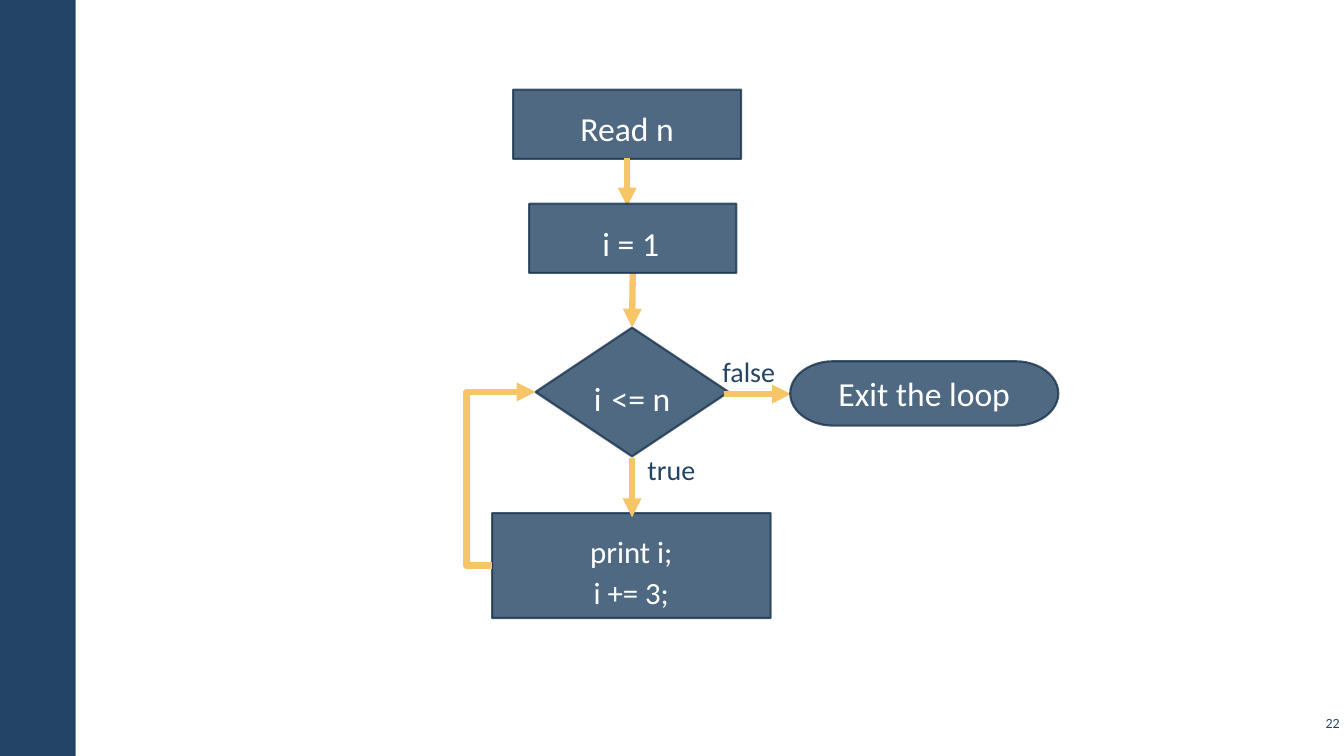
import pptx
import pptx.util
import pptx.dml.color
import pptx.enum.shapes
import pptx.enum.text
import pptx.oxml
import pptx.oxml.ns

Pt = pptx.util.Pt
KIND = pptx.enum.shapes.MSO_SHAPE
LINK = pptx.enum.shapes.MSO_CONNECTOR
ALIGN = pptx.enum.text.PP_ALIGN
ANCHOR = pptx.enum.text.MSO_ANCHOR

HEX = {"navy": "234465", "edge": "1A334C", "gold": "F5C567", "white": "FFFFFF"}


def color(name):
    return pptx.dml.color.RGBColor.from_string(HEX[name])


def add_xml(parent, tag, **attrs):
    node = parent.makeelement(pptx.oxml.ns.qn(tag), attrs)
    parent.append(node)
    return node


def apply(item, values):
    for name, value in values.items():
        setattr(item, name, value)


def write(frame, lines, size, tint, align=ALIGN.CENTER, space=1.1, **form):
    """Each line is a list of (text, size) runs or a plain string."""
    margins = dict.fromkeys(
        ("margin_left", "margin_top", "margin_right", "margin_bottom"), 0)
    apply(frame, {**margins, "word_wrap": False,
                  "vertical_anchor": ANCHOR.TOP, **form})
    for i, line in enumerate(lines):
        para = frame.add_paragraph() if i else frame.paragraphs[0]
        apply(para, {"alignment": align, "line_spacing": space})
        for text, points in [(line, size)] if isinstance(line, str) else line:
            run = para.add_run()
            run.text = text
            apply(run.font, {"name": "Calibri", "size": Pt(points)})
            run.font.color.rgb = color(tint)


def add_block(slide, kind, box):
    block = slide.shapes.add_shape(kind, *map(Pt, box))
    block.shadow.inherit = False
    block.fill.solid()
    block.fill.fore_color.rgb = color("navy")
    block.line.fill.background()
    return block


def add_node(slide, kind, box, lines, size=24, **form):
    node = add_block(slide, kind, box)
    node.line.color.rgb = color("edge")
    node.line.width = Pt(1.5)
    for tone in node.element.spPr.iter(pptx.oxml.ns.qn("a:srgbClr")):
        add_xml(tone, "a:alpha", val="80000")
    write(node.text_frame, lines, size, "white", **form)


def add_label(slide, box, text, size=20, **form):
    label = slide.shapes.add_textbox(*map(Pt, box))
    write(label.text_frame, [text], size, "navy", **form)


def add_arrow(slide, start, end, bend=None):
    kind = LINK.STRAIGHT if bend is None else LINK.ELBOW
    arrow = slide.shapes.add_connector(kind, *map(Pt, start + end))
    arrow.line.color.rgb = color("gold")
    arrow.line.width = Pt(4.5)
    props = arrow.element.spPr
    add_xml(props.find(pptx.oxml.ns.qn("a:ln")), "a:tailEnd", type="triangle")
    add_xml(props, "a:effectLst")
    if bend is not None:
        guides = next(props.iter(pptx.oxml.ns.qn("a:avLst")))
        add_xml(guides, "a:gd", name="adj1", fmla=f"val {bend}")


def main():
    deck = pptx.Presentation()
    apply(deck, {"slide_width": Pt(960), "slide_height": Pt(540)})
    slide = deck.slides.add_slide(deck.slide_layouts[6])

    # Side bar and page number
    add_block(slide, KIND.RECTANGLE, (0, 0, 54, 540))
    add_label(slide, (926, 504, 31, 24.5), "22", 10, align=ALIGN.RIGHT,
              space=1.0, vertical_anchor=ANCHOR.MIDDLE)

    # Loop test and input
    add_node(slide, KIND.DIAMOND, (382.5, 234, 138, 92),
             [[("i", 24), (" ", 32), ("<= n", 24)]], margin_top=Pt(1))
    add_node(slide, KIND.RECTANGLE, (366.5, 64, 163, 49.5), ["Read n"],
             margin_top=Pt(10))
    add_arrow(slide, (448, 113), (448, 147.5))
    add_arrow(slide, (452, 194.5), (451.5, 234))

    # Exit branch
    add_label(slide, (516, 250.5, 38, 25), "false", align=ALIGN.LEFT)
    add_arrow(slide, (517, 281.5), (565, 281.5))

    # Loop body and way back
    add_node(slide, KIND.RECTANGLE, (351.5, 366.5, 199, 75),
             ["print i;", "i += 3;"], 22, margin_top=Pt(11.5))
    add_arrow(slide, (451.5, 327), (451.5, 369.5))
    add_arrow(slide, (351.5, 404), (382.5, 280), bend=-58900)
    add_label(slide, (462.5, 321, 35, 25), "true", align=ALIGN.LEFT)

    # End and counter start
    add_node(slide, KIND.FLOWCHART_TERMINATOR, (564.5, 258, 191.5, 46),
             ["Exit the loop"], space=1.0, vertical_anchor=ANCHOR.MIDDLE)
    add_node(slide, KIND.RECTANGLE, (378, 145.5, 148, 49.5), ["i = 1"],
             margin_top=Pt(11), margin_right=Pt(3))

    deck.save("out.pptx")


if __name__ == "__main__":
    main()
